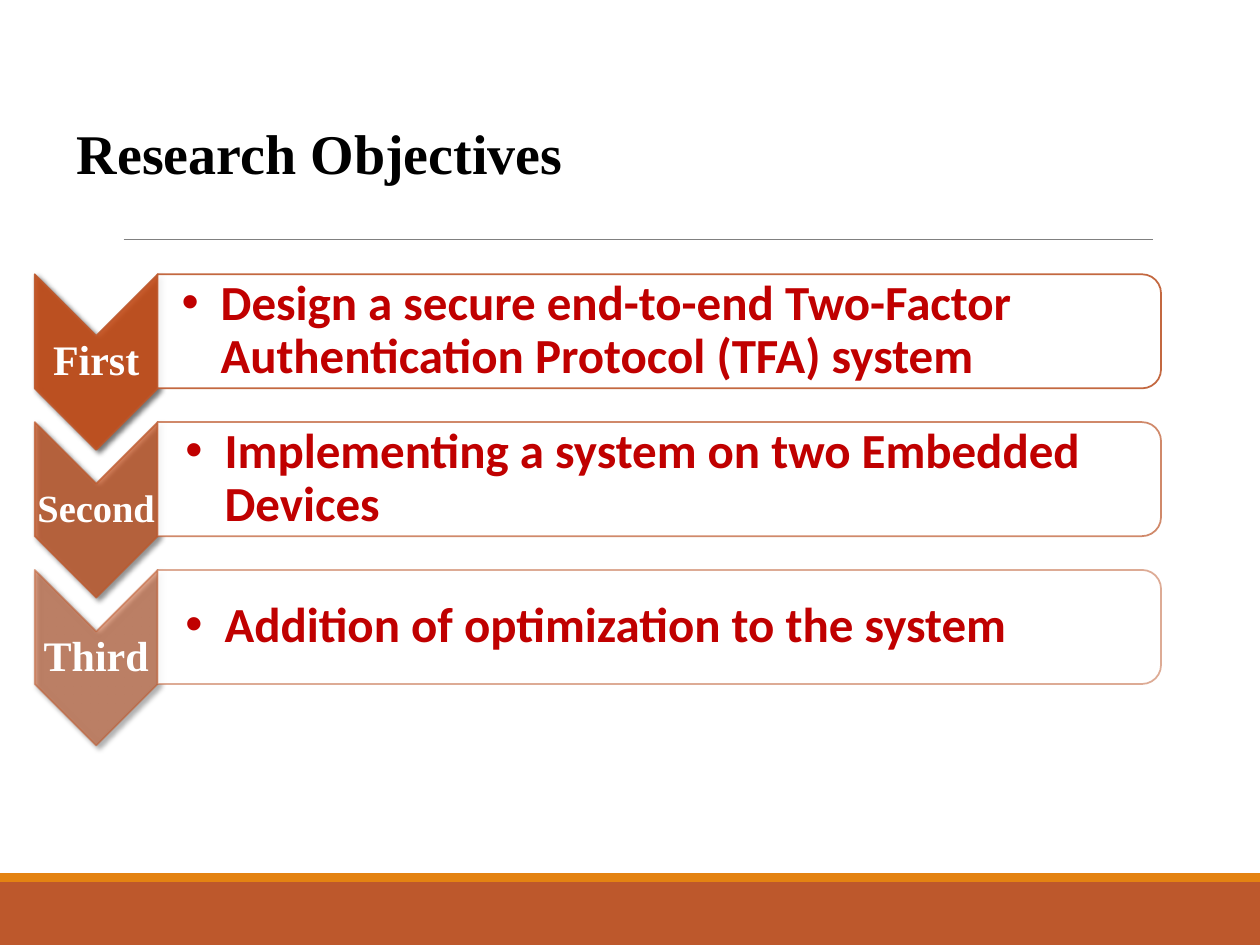
from dataclasses import dataclass

from lxml.etree import SubElement
from pptx import Presentation
from pptx.dml.color import RGBColor
from pptx.enum.shapes import MSO_CONNECTOR, MSO_SHAPE
from pptx.enum.text import MSO_ANCHOR, PP_ALIGN
from pptx.oxml.ns import qn
from pptx.util import Cm, Pt


@dataclass(frozen=True)
class Theme:
    accent: str = "BD582C"
    stripe: str = "E48312"
    chevron: str = "C34C18"
    rule: str = "808080"
    white: str = "FFFFFF"
    black: str = "000000"
    objective: str = "C00000"
    serif: str = "Times New Roman"
    sans: str = "Calibri"
    title_size: int = 32
    objective_size: int = 28


THEME = Theme()
SLIDE_WIDTH, SLIDE_HEIGHT = 25.4, 19.05
ROW_PITCH = 2.98
OBJECTIVES = [
    ("First", 24, 90, 0.48,
     "Design a secure end-to-end Two-Factor Authentication Protocol (TFA) system"),
    ("Second", 22, 70, 0.56, "Implementing a system on two Embedded Devices"),
    ("Third", 24, 50, 0.56, "Addition of optimization to the system"),
]


def set_opacity(fill_parent, percent):
    color = fill_parent.find(".//" + qn("a:srgbClr"))
    SubElement(color, qn("a:alpha"), val=str(percent * 1000))


def add_drop_shadow(shape):
    effects = shape._element.spPr.find(qn("a:effectLst"))
    shadow = SubElement(effects, qn("a:outerShdw"), blurRad=str(Pt(3)),
                        dist=str(Pt(2)), dir="2700000", rotWithShape="0")
    color = SubElement(shadow, qn("a:srgbClr"), val=THEME.black)
    SubElement(color, qn("a:alpha"), val="60000")


def add_filled_shape(slide, kind, left, top, width, height, color):
    shape = slide.shapes.add_shape(kind, Cm(left), Cm(top), Cm(width), Cm(height))
    shape.shadow.inherit = False
    shape.fill.solid()
    shape.fill.fore_color.rgb = RGBColor.from_string(color)
    shape.line.fill.background()
    return shape


def add_turned_shape(slide, kind, center, size, color, fill_opacity, line_opacity):
    (x, y), (width, height) = center, size
    shape = add_filled_shape(slide, kind, x - width / 2, y - height / 2,
                             width, height, color)
    shape.rotation = 90
    set_opacity(shape._element.spPr.find(qn("a:solidFill")), fill_opacity)
    shape.line.color.rgb = RGBColor.from_string(THEME.accent)
    shape.line.width = Pt(1)
    set_opacity(shape.line._ln, line_opacity)
    return shape


def add_text(slide, text, left, top, width, height, font, size, color):
    box = slide.shapes.add_textbox(Cm(left), Cm(top), Cm(width), Cm(height))
    frame = box.text_frame
    frame.word_wrap = True
    frame.text = text
    run_font = frame.paragraphs[0].runs[0].font
    run_font.name = font
    run_font.size = Pt(size)
    run_font.bold = True
    run_font.color.rgb = RGBColor.from_string(color)
    return frame


def center_vertically(frame, left_inset):
    frame.vertical_anchor = MSO_ANCHOR.MIDDLE
    frame.margin_left = Cm(left_inset)
    frame.margin_top = frame.margin_right = frame.margin_bottom = Cm(0.05)
    frame.paragraphs[0].line_spacing = 0.9


def add_bullet(paragraph, indent):
    properties = paragraph._p.get_or_add_pPr()
    properties.set("marL", str(Cm(indent)))
    properties.set("indent", str(-Cm(indent)))
    SubElement(properties, qn("a:buFont"), typeface="Arial")
    SubElement(properties, qn("a:buChar"), char="•")


def add_objective(slide, row, label, label_size, opacity, inset, text):
    offset = row * ROW_PITCH
    chevron = add_turned_shape(slide, MSO_SHAPE.CHEVRON, (1.94, 7.3 + offset),
                               (3.54, 2.48), THEME.chevron, opacity, opacity)
    add_drop_shadow(chevron)
    label_frame = add_text(slide, label, 0.7, 6.77 + offset, 2.48, 1.06,
                           THEME.serif, label_size, THEME.white)
    label_frame.word_wrap = False
    center_vertically(label_frame, 0.05)
    label_frame.paragraphs[0].alignment = PP_ALIGN.CENTER

    add_turned_shape(slide, MSO_SHAPE.ROUND_2_SAME_RECTANGLE, (13.29, 6.68 + offset),
                     (2.3, 20.23), THEME.white, 90, opacity)
    text_frame = add_text(slide, text, 3.18, 5.64 + offset, 20.12, 2.08,
                          THEME.sans, THEME.objective_size, THEME.objective)
    center_vertically(text_frame, inset)
    add_bullet(text_frame.paragraphs[0], 0.79)


def add_rule(slide, left, right, y):
    rule = slide.shapes.add_connector(MSO_CONNECTOR.STRAIGHT,
                                      Cm(left), Cm(y), Cm(right), Cm(y))
    rule.line.color.rgb = RGBColor.from_string(THEME.rule)
    rule.line.width = Pt(0.5)
    SubElement(rule._element.spPr, qn("a:effectLst"))


def main():
    presentation = Presentation()
    presentation.slide_width = Cm(SLIDE_WIDTH)
    presentation.slide_height = Cm(SLIDE_HEIGHT)
    slide = presentation.slides.add_slide(presentation.slide_layouts[6])

    for top, height, color in [(17.78, 1.27, THEME.accent), (17.6, 0.18, THEME.stripe)]:
        add_filled_shape(slide, MSO_SHAPE.RECTANGLE, 0, top, SLIDE_WIDTH, height, color)
    add_rule(slide, 2.49, 23.24, 4.83)
    for row, objective in enumerate(OBJECTIVES):
        add_objective(slide, row, *objective)
    add_text(slide, "Research Objectives", 1.3, 2.26, 22.1, 1.63,
             THEME.serif, THEME.title_size, THEME.black)

    presentation.save("out.pptx")


if __name__ == "__main__":
    main()
